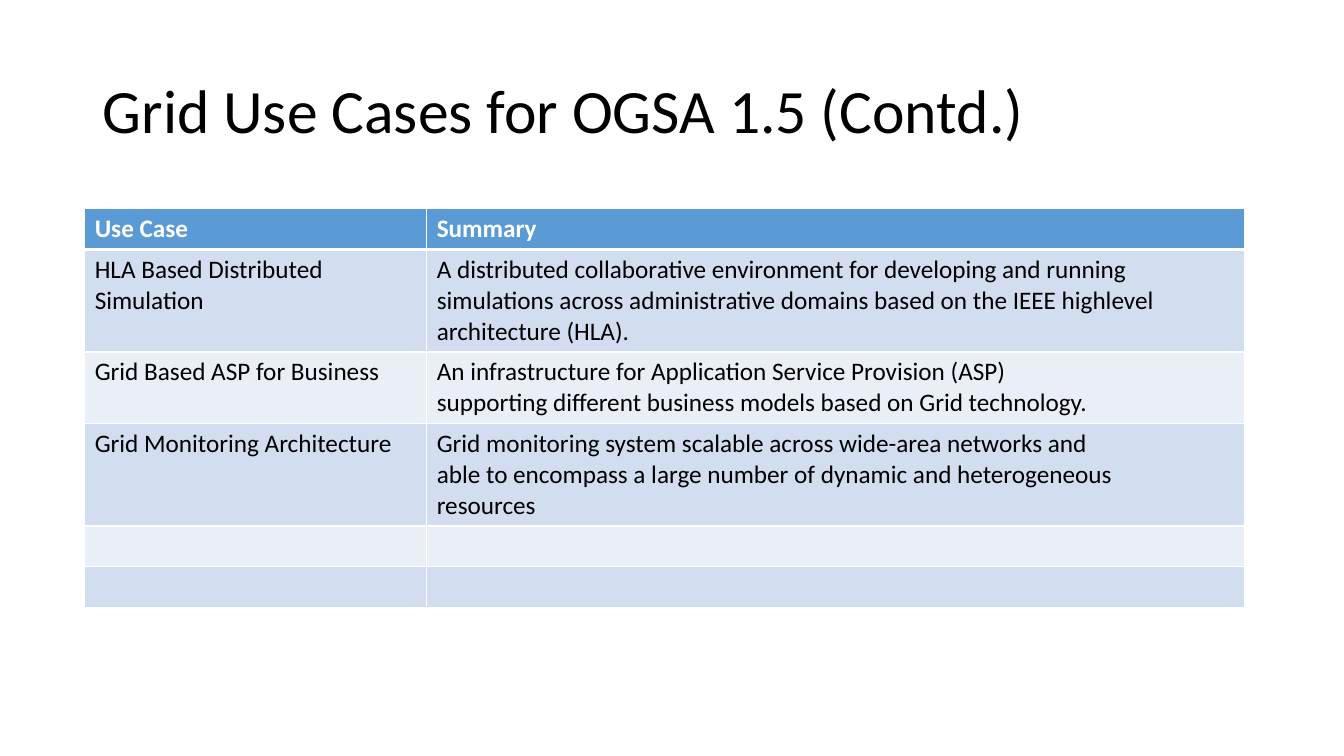
"""Build the slide of grid use cases for OGSA 1.5."""
from dataclasses import dataclass

from lxml import etree
from pptx import Presentation
from pptx.dml.color import RGBColor
from pptx.enum.text import MSO_ANCHOR, PP_ALIGN
from pptx.oxml.ns import qn
from pptx.slide import Slide
from pptx.table import _Cell
from pptx.text.text import _Paragraph
from pptx.util import Inches, Pt

MIDDLE = MSO_ANCHOR.MIDDLE
LEFT = PP_ALIGN.LEFT
TITLE_ONLY = 5
SLIDE_WIDTH, SLIDE_HEIGHT = Inches(13.33), Inches(7.5)
CONTENT_WIDTH = Inches(11.5)
COLUMN_SHARES = (0.295, 0.705)
LINE_HEIGHT, CELL_PADDING = Inches(0.305), Inches(0.1)


@dataclass(frozen=True)
class Theme:
    """Colours, font and sizes of the slide."""

    font: str = "Calibri"
    title_size: int = 44
    table_size: int = 18
    ink: str = "000000"
    paper: str = "FFFFFF"
    header: str = "5B9BD5"
    bands: tuple[str, str] = ("D2DEEF", "EAEFF7")
    thin: int = 1
    thick: int = 3


@dataclass(frozen=True)
class UseCase:
    """One table row: a name and the lines of its summary."""

    name: str = ""
    summary: tuple[str, ...] = ("",)


THEME = Theme()
HEADING = UseCase("Use Case", ("Summary",))
USE_CASES = (
    UseCase("HLA Based Distributed Simulation", (
        "A distributed collaborative environment for developing and running",
        "simulations across administrative domains based on the IEEE highlevel",
        "architecture (HLA).",
    )),
    UseCase("Grid Based ASP for Business", (
        "An infrastructure for Application Service Provision (ASP)",
        "supporting different business models based on Grid technology.",
    )),
    UseCase("Grid Monitoring Architecture", (
        "Grid monitoring system scalable across wide-area networks and",
        "able to encompass a large number of dynamic and heterogeneous",
        "resources",
    )),
    UseCase(),
    UseCase(),
)


def style_paragraph(para: _Paragraph, size: int, colour: str, bold: bool = False) -> None:
    """Set the font of a whole paragraph."""
    para.font.name = THEME.font
    para.font.size = Pt(size)
    para.font.bold = bold
    para.font.color.rgb = RGBColor.from_string(colour)


def set_borders(cell: _Cell, top: int, bottom: int) -> None:
    """Draw the four borders of a cell ahead of its fill."""
    properties = cell._tc.get_or_add_tcPr()
    widths = {"a:lnL": THEME.thin, "a:lnR": THEME.thin, "a:lnT": top, "a:lnB": bottom}
    for position, (tag, width) in enumerate(widths.items()):
        line = etree.Element(qn(tag), w=str(Pt(width)))
        fill = etree.SubElement(line, qn("a:solidFill"))
        etree.SubElement(fill, qn("a:srgbClr"), val=THEME.paper)
        properties.insert(position, line)


def fill_cell(cell: _Cell, lines: tuple[str, ...], row: int) -> None:
    """Write and format a cell according to its row."""
    is_header = row == 0
    cell.text = "\n".join(lines)
    for para in cell.text_frame.paragraphs:
        style_paragraph(para, THEME.table_size, THEME.paper if is_header else THEME.ink, is_header)
    cell.fill.solid()
    colour = THEME.header if is_header else THEME.bands[(row - 1) % 2]
    cell.fill.fore_color.rgb = RGBColor.from_string(colour)
    set_borders(cell, THEME.thick if row == 1 else THEME.thin,
                THEME.thick if is_header else THEME.thin)


def add_title(page: Slide, text: str) -> None:
    """Place and format the title placeholder."""
    title = page.shapes.title
    title.left, title.top = Inches(0.92), Inches(0.4)
    title.width, title.height = CONTENT_WIDTH, Inches(1.45)
    title.text_frame.text = text
    title.text_frame.vertical_anchor = MIDDLE
    para = title.text_frame.paragraphs[0]
    para.alignment = LEFT
    para.line_spacing = 0.9
    style_paragraph(para, THEME.title_size, THEME.ink)


def add_use_cases(page: Slide, entries: tuple[UseCase, ...]) -> None:
    """Add the table, with each row as tall as its summary."""
    heights = [CELL_PADDING + LINE_HEIGHT * len(entry.summary) for entry in entries]
    table = page.shapes.add_table(len(entries), len(COLUMN_SHARES), Inches(0.84), Inches(2.07),
                                  CONTENT_WIDTH, sum(heights)).table
    for column, share in zip(table.columns, COLUMN_SHARES):
        column.width = int(CONTENT_WIDTH * share)
    for row, (entry, height) in enumerate(zip(entries, heights)):
        table.rows[row].height = height
        fill_cell(table.cell(row, 0), (entry.name,), row)
        fill_cell(table.cell(row, 1), entry.summary, row)


def main() -> None:
    """Build and save the deck."""
    deck = Presentation()
    deck.slide_width, deck.slide_height = SLIDE_WIDTH, SLIDE_HEIGHT
    page = deck.slides.add_slide(deck.slide_layouts[TITLE_ONLY])
    add_title(page, "Grid Use Cases for OGSA 1.5 (Contd.)")
    add_use_cases(page, (HEADING, *USE_CASES))
    deck.save("out.pptx")


if __name__ == "__main__":
    main()
